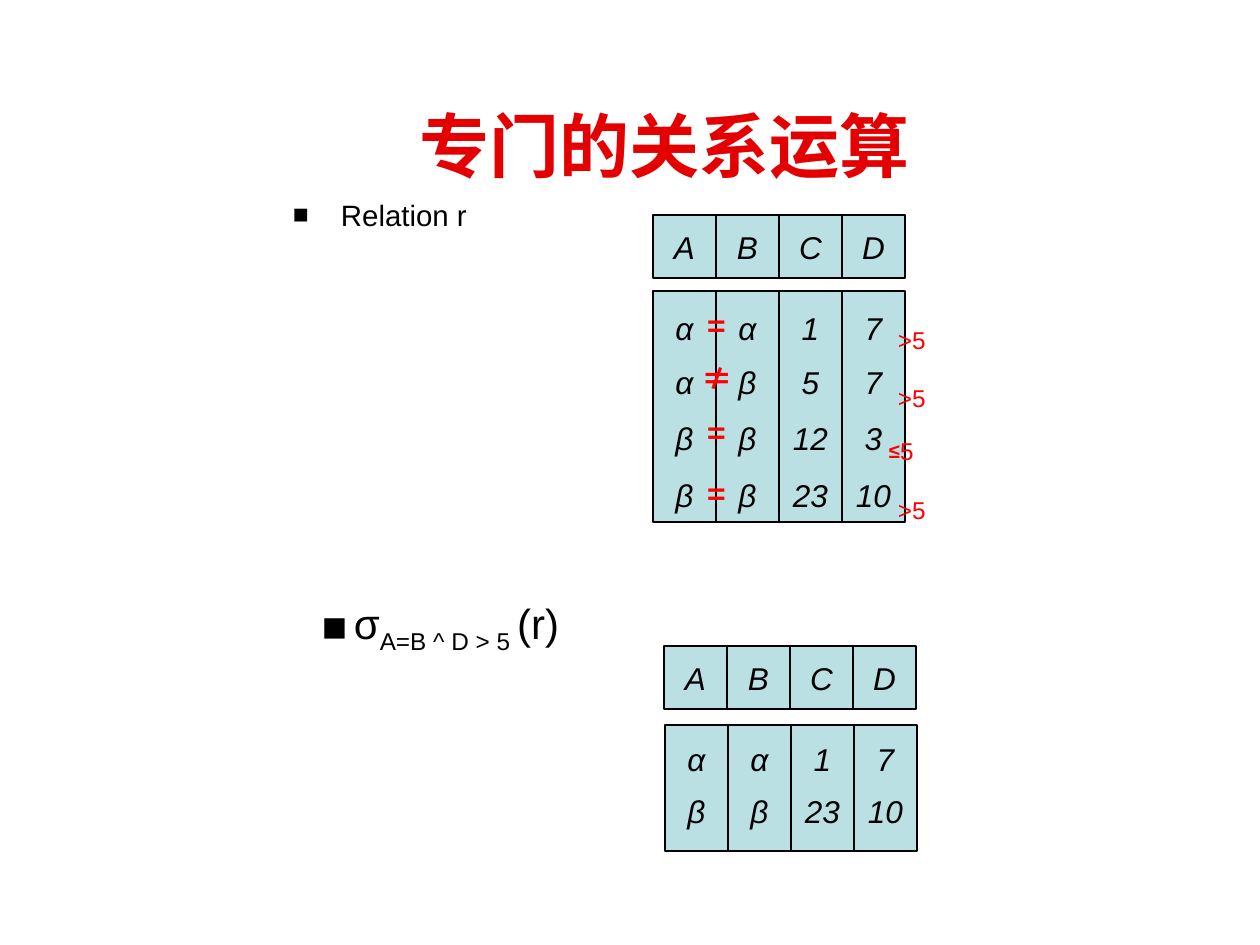
from lxml import etree
from pptx import Presentation
from pptx import util as u
from pptx.dml.color import RGBColor
from pptx.enum import shapes, text
from pptx.oxml import ns

EMU_PER_PX = 914400 / 126
CELL = 63
INSET_X, INSET_Y = 13, 6
BLACK = RGBColor(0x00, 0x00, 0x00)
RED = RGBColor(0xFF, 0x00, 0x00)
TITLE_RED = RGBColor(0xE4, 0x00, 0x00)
PALE_BLUE = RGBColor(0xBB, 0xE0, 0xE3)
LATIN = "Arial"
CJK = "Noto Sans CJK SC"
COLUMNS = "ABCD"


def px(length):
    return u.Emu(round(length * EMU_PER_PX))


def add_element(parent, tag, **attributes):
    return etree.SubElement(parent, ns.qn(tag), attributes)


def style(span, size, color=BLACK, name=LATIN, bold=False, italic=False, subscript=False):
    font = span.font
    font.size = u.Pt(size)
    font.name = name
    font.bold = bold
    font.italic = italic
    font.color.rgb = color
    if name == CJK:
        add_element(span._r.get_or_add_rPr(), "a:ea", typeface=name)
    if subscript:
        span._r.get_or_add_rPr().set("baseline", "-25000")


def set_margins(frame):
    frame.margin_left = frame.margin_right = px(INSET_X)
    frame.margin_top = frame.margin_bottom = px(INSET_Y)


def add_text(page, left, top, width, height, spans):
    box = page.shapes.add_textbox(px(left), px(top), px(width), px(height))
    frame = box.text_frame
    frame.word_wrap = True
    set_margins(frame)
    para = frame.paragraphs[0]
    for wording, look in spans:
        span = para.add_run()
        span.text = wording
        style(span, **look)
    return box


def add_bullet(para, indent, percent):
    properties = para._p.get_or_add_pPr()
    properties.set("marL", str(px(indent)))
    properties.set("indent", str(-px(indent)))
    color = add_element(properties, "a:buClr")
    add_element(color, "a:srgbClr", val=str(BLACK))
    add_element(properties, "a:buSzPct", val=str(percent * 1000))
    add_element(properties, "a:buFont", typeface=LATIN)
    add_element(properties, "a:buChar", char="■")


def add_columns(page, left, top, height, labels=None):
    for index in range(len(COLUMNS)):
        cell = page.shapes.add_shape(
            shapes.MSO_SHAPE.RECTANGLE, px(left + index * CELL), px(top), px(CELL), px(height))
        cell.shadow.inherit = False
        cell.fill.solid()
        cell.fill.fore_color.rgb = PALE_BLUE
        cell.line.color.rgb = BLACK
        cell.line.width = u.Pt(0.75)
        if labels:
            frame = cell.text_frame
            frame.text = labels[index]
            frame.word_wrap = False
            frame.vertical_anchor = text.MSO_ANCHOR.MIDDLE
            set_margins(frame)
            para = frame.paragraphs[0]
            para.alignment = text.PP_ALIGN.CENTER
            style(para.runs[0], 18, italic=True)


def add_row(page, left, top, values):
    outset = 20
    wording = "".join("\t" + value for value in values)
    row = add_text(page, left - outset, top, 293, 69, [(wording, dict(size=18, italic=True))])
    para = row.text_frame.paragraphs[0]
    para.line_spacing = 1.5
    stops = add_element(para._p.get_or_add_pPr(), "a:tabLst")
    first = outset - INSET_X + CELL / 2
    for index in range(len(values)):
        add_element(stops, "a:tab", pos=str(px(first + index * CELL)), algn="ctr")


def add_relation(page, left, top, body_left, body_top, body_height, rows):
    add_columns(page, left, top, CELL, COLUMNS)
    add_columns(page, body_left, body_top, body_height)
    for offset, values in rows:
        add_row(page, body_left, body_top + offset, values)


def add_comparisons(page, left, top):
    sign = dict(size=18, color=RED, name=CJK, bold=True)
    for x, y, wording in [(42, 10, "="), (36, 62, "≠"), (42, 117, "="), (42, 178, "=")]:
        add_text(page, left + x, top + y, 58, 50, [(wording, sign)])
    limit = dict(size=24, color=RED, subscript=True)
    for y in (0, 58, 170):
        add_text(page, left + 232, top + y, 73, 71, [(">5", limit)])
    add_text(page, left + 223, top + 111, 71, 71,
             [("≤", dict(limit, size=20, bold=True)), ("5", limit)])


def add_title(page, left, top, width, height):
    title = page.shapes.title
    title.left, title.top, title.width, title.height = map(px, (left, top, width, height))
    frame = title.text_frame
    frame.text = "专门的关系运算"
    frame.vertical_anchor = text.MSO_ANCHOR.MIDDLE
    para = frame.paragraphs[0]
    para.alignment = text.PP_ALIGN.CENTER
    style(para.runs[0], 40, TITLE_RED, CJK, bold=True)


def add_captions(page, left):
    relation = add_text(page, left, 198, 300, 50, [("Relation r", dict(size=16.8))])
    para = relation.text_frame.paragraphs[0]
    para.line_spacing = 0.8
    add_bullet(para, 48, 90)

    selection = add_text(page, left, 591, 321, 71, [
        ("σ", dict(size=24)),
        ("A=B ^ D > 5 ", dict(size=24, subscript=True)),
        ("(r)", dict(size=24)),
    ])
    selection.text_frame.vertical_anchor = text.MSO_ANCHOR.MIDDLE
    para = selection.text_frame.paragraphs[0]
    para.alignment = text.PP_ALIGN.CENTER
    add_bullet(para, 32, 100)


def main():
    deck = Presentation()
    deck.slide_width, deck.slide_height = px(1260), px(945)
    page = deck.slides.add_slide(deck.slide_layouts[5])
    add_title(page, 176, 94, 977, 101)
    add_captions(page, 280)
    add_relation(page, 653, 215, 653, 291, 231, [
        (-7, ["α", "α", "1", "7"]),
        (47, ["α", "β", "5", "7"]),
        (103, ["β", "β", "12", "3"]),
        (160, ["β", "β", "23", "10"]),
    ])
    add_comparisons(page, 653, 291)
    add_relation(page, 664, 646, 665, 725, 126, [
        (-10, ["α", "α", "1", "7"]),
        (42, ["β", "β", "23", "10"]),
    ])
    deck.save("out.pptx")


if __name__ == "__main__":
    main()
